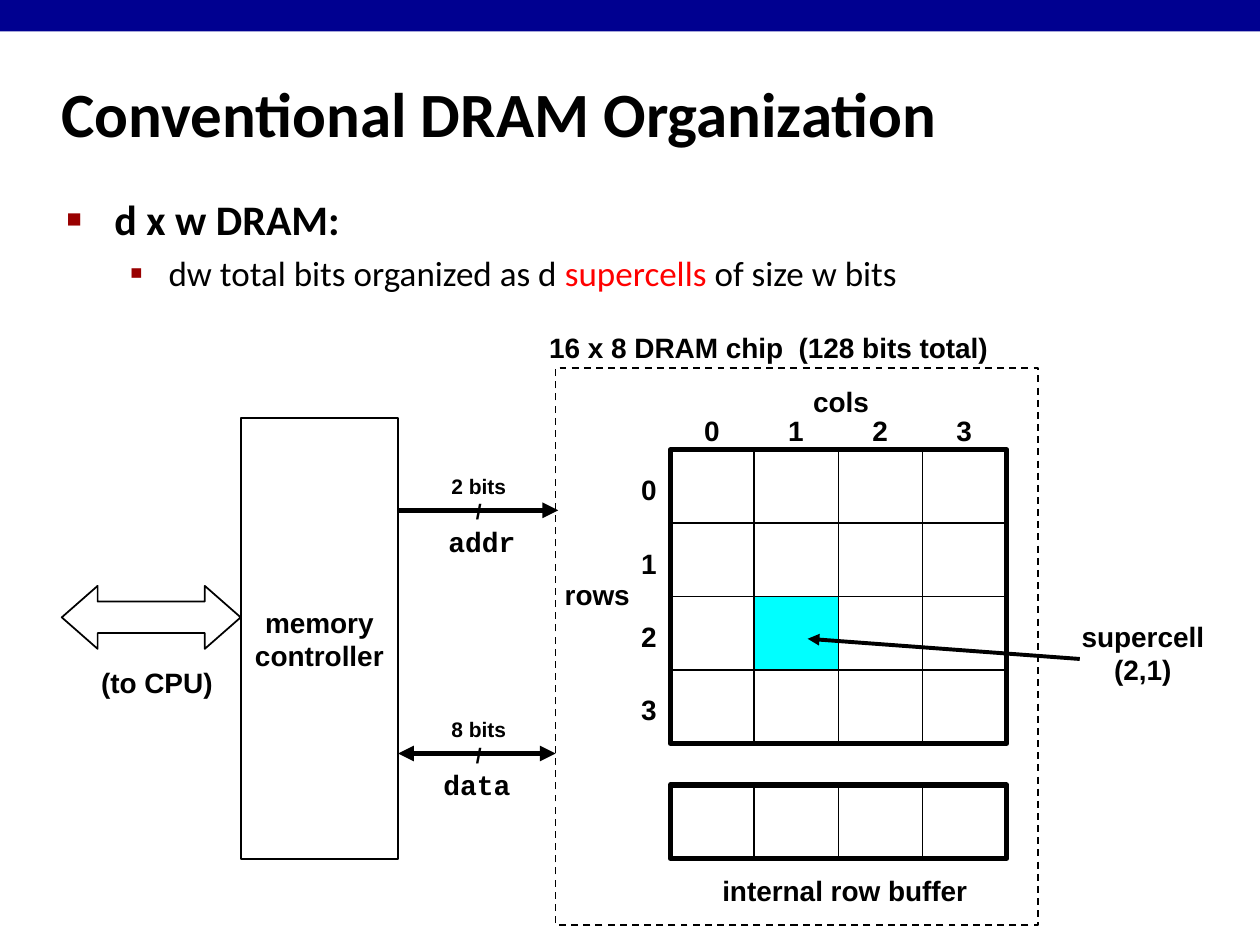
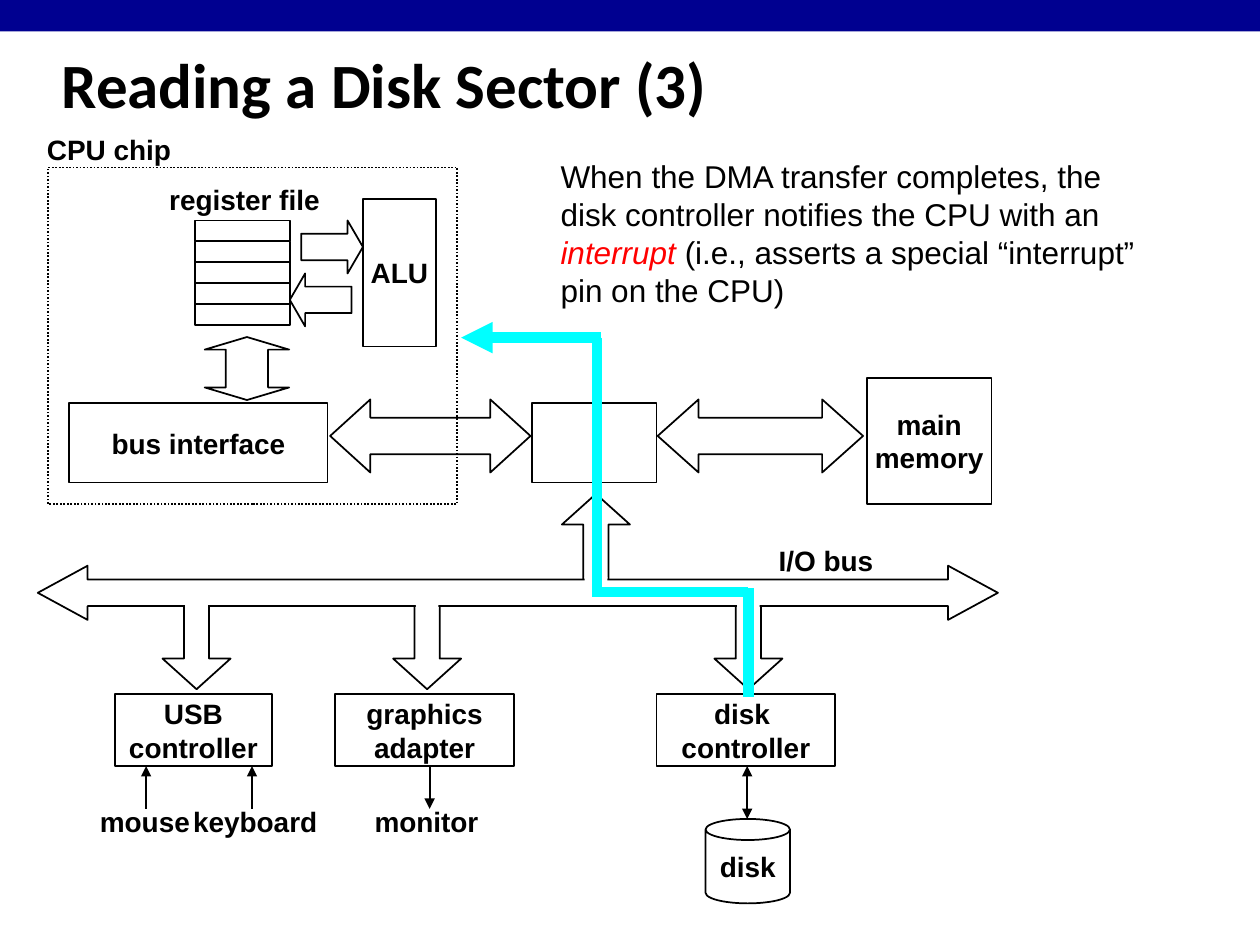
from dataclasses import dataclass

import pptx
import pptx.dml.color
import pptx.enum.dml
import pptx.enum.shapes
import pptx.enum.text
import pptx.oxml.ns
import pptx.util
from lxml import etree

Inches = pptx.util.Inches
Pt = pptx.util.Pt
RGBColor = pptx.dml.color.RGBColor
Kind = pptx.enum.shapes.MSO_SHAPE
Align = pptx.enum.text.PP_ALIGN
Anchor = pptx.enum.text.MSO_ANCHOR
Dash = pptx.enum.dml.MSO_LINE
qn = pptx.oxml.ns.qn

BLACK = RGBColor(0, 0, 0)
WHITE = RGBColor(255, 255, 255)
NAVY = RGBColor(0x00, 0x00, 0x90)
MAROON = RGBColor(0x99, 0x00, 0x00)
RED = RGBColor(255, 0, 0)
CYAN = RGBColor(0, 255, 255)

TITLE_FONT = "Calibri"
LABEL_FONT = "Arial"
CODE_FONT = "Courier New"
LABEL_HEIGHT = 0.37


def style_span(span, size, font=LABEL_FONT, color=BLACK, bold=False, italic=False):
    span.font.name = font
    span.font.size = Pt(size)
    span.font.bold = bold
    span.font.italic = italic
    span.font.color.rgb = color


def fill_text(frame, text, size=16, font=LABEL_FONT, align=Align.CENTER):
    """Put bold, unwrapped, vertically centred lines into a text frame."""
    frame.word_wrap = False
    frame.vertical_anchor = Anchor.MIDDLE
    frame.text = text
    for para in frame.paragraphs:
        para.alignment = align
        for span in para.runs:
            style_span(span, size, font, bold=True)


def add_spans(para, spans, size, font):
    """Append (text, color, bold, italic) runs to a paragraph."""
    for text, color, bold, italic in spans:
        span = para.add_run()
        span.text = text
        style_span(span, size, font, color, bold, italic)


@dataclass
class Area:
    """A region of a page; its parts are placed from its top left corner."""
    page: object
    left: float
    top: float

    def place(self, x, y):
        return Inches(self.left + x), Inches(self.top + y)

    def shape(self, kind, x, y, width, height, text="", fill=None,
              line=BLACK, weight=1, dash=None, adjust=()):
        shape = self.page.shapes.add_shape(
            kind, *self.place(x, y), Inches(width), Inches(height))
        shape.shadow.inherit = False
        for index, value in enumerate(adjust):
            shape.adjustments[index] = value
        if fill is None:
            shape.fill.background()
        else:
            shape.fill.solid()
            shape.fill.fore_color.rgb = fill
        if line is None:
            shape.line.fill.background()
        else:
            shape.line.color.rgb = line
            shape.line.width = Pt(weight)
        if dash is not None:
            shape.line.dash_style = dash
        if text:
            fill_text(shape.text_frame, text)
        return shape

    def text_box(self, x, y, width, height):
        box = self.page.shapes.add_textbox(
            *self.place(x, y), Inches(width), Inches(height))
        box.text_frame.word_wrap = True
        return box.text_frame

    def label(self, text, x, y, width, height=LABEL_HEIGHT, **style):
        fill_text(self.text_box(x, y, width, height), text, **style)

    def line(self, start, end, color=BLACK, weight=1, head=False, tail=False):
        """Draw a line; head and tail put an arrowhead at its start and end."""
        line = self.page.shapes.add_connector(
            pptx.enum.shapes.MSO_CONNECTOR.STRAIGHT,
            *self.place(*start), *self.place(*end))
        line.line.color.rgb = color
        line.line.width = Pt(weight)
        properties = line.element.spPr
        outline = properties.find(qn("a:ln"))
        for tag, wanted in (("a:headEnd", head), ("a:tailEnd", tail)):
            if wanted:
                etree.SubElement(outline, qn(tag), type="triangle")
        etree.SubElement(properties, qn("a:effectLst"))

    def grid(self, x, y, width, height, rows, cols, marked=None):
        cell_width, cell_height = width / cols, height / rows
        for row in range(rows):
            for col in range(cols):
                self.shape(Kind.RECTANGLE, x + col * cell_width,
                           y + row * cell_height, cell_width, cell_height,
                           fill=CYAN if (row, col) == marked else WHITE)


def add_page(deck, title, title_top):
    page = deck.slides.add_slide(deck.slide_layouts[6])
    area = Area(page, 0, 0)
    area.shape(Kind.RECTANGLE, 0, 0, 10, 0.25, fill=NAVY, line=None)
    area.label(title, 0.39, title_top, 8.3, 0.83,
               size=36, font=TITLE_FONT, align=Align.LEFT)
    return page


def add_bullet(para, char, percent, margin, hanging):
    properties = para._p.get_or_add_pPr()
    properties.set("marL", str(Inches(margin)))
    properties.set("indent", str(-Inches(hanging)))
    color = etree.SubElement(properties, qn("a:buClr"))
    etree.SubElement(color, qn("a:srgbClr"), val=str(MAROON))
    etree.SubElement(properties, qn("a:buSzPct"), val=str(percent * 1000))
    etree.SubElement(properties, qn("a:buFont"), typeface=LABEL_FONT)
    etree.SubElement(properties, qn("a:buChar"), char=char)


def dram_summary(area):
    frame = area.text_box(0, 0, 8.64, 1.1)
    heading = frame.paragraphs[0]
    detail = frame.add_paragraph()
    heading.space_before, detail.space_before = Pt(4.8), Pt(4)
    add_bullet(heading, "■", 60, 0.38, 0.38)
    add_bullet(detail, "▪", 110, 0.81, 0.31)
    add_spans(heading, [("d x w DRAM:", BLACK, True, False)], 24, TITLE_FONT)
    add_spans(detail, [
        ("dw total bits organized as d ", BLACK, False, False),
        ("supercells", RED, False, False),
        (" of size w bits", BLACK, False, False),
    ], 20, TITLE_FONT)


def dram_chip(area):
    grid_left, grid_top, grid_width, grid_height = 0.91, 0.65, 2.67, 2.33
    buffer_top, count = 3.31, 4
    cell_width, cell_height = grid_width / count, grid_height / count

    area.label("cols", 1.94, 0.08, 0.65)
    area.label("rows", -0.03, 1.61, 0.72)
    area.grid(grid_left, grid_top, grid_width, grid_height, count, count, (2, 1))
    for index in range(count):
        area.label(str(index), grid_left + 0.17 + index * cell_width, 0.31, 0.32)
        area.label(str(index), 0.58, grid_top + 0.13 + index * cell_height, 0.32)
    area.grid(grid_left, buffer_top, grid_width, cell_height, 1, count)
    for top, height in ((grid_top, grid_height), (buffer_top, cell_height)):
        area.shape(Kind.RECTANGLE, grid_left, top, grid_width, height, weight=3)
    area.label("internal row buffer", 1.22, 3.96, 2.15)
    area.shape(Kind.RECTANGLE, 0, 0, 3.83, 4.42, dash=Dash.DASH)
    area.label("16 x 8 DRAM chip  (128 bits total)", -0.15, -0.35, 3.7,
               align=Align.LEFT)
    area.label("supercell\n(2,1)", 4.07, 1.94, 1.18, 0.64)
    area.line((4.16, 2.31), (2, 2.15), weight=2.25, tail=True)


def memory_controller(area):
    """Draw the controller with its CPU arrow and its two chip lines."""
    lines = (("2 bits", "addr", 0.73, 1.27, 1.55, False),
             ("8 bits", "data", 2.66, 1.25, 1.51, True))
    for bits, name, y, length, name_left, both_ways in lines:
        area.line((1.25, y), (1.25 + length, y), weight=3,
                  head=both_ways, tail=True)
        area.label(name, name_left, y + 0.06, 0.73, font=CODE_FONT)
        area.label(f"{bits}\n/", 1.57, y - 0.34, 0.64, 0.5, size=12)
    area.shape(Kind.RECTANGLE, 0, 0, 1.25, 3.5, "memory\ncontroller", WHITE)
    area.shape(Kind.LEFT_RIGHT_ARROW, -1.42, 1.33, 1.42, 0.5,
               fill=WHITE, adjust=(0.5, 0.57))
    area.label("(to CPU)", -1.21, 1.91, 1.09)


def cpu_chip(area):
    area.grid(1.17, 0.42, 0.75, 0.83, rows=5, cols=1)
    area.shape(Kind.RIGHT_ARROW, 2.01, 0.42, 0.49, 0.42, adjust=(0.5, 0.29))
    area.shape(Kind.LEFT_ARROW, 1.92, 0.84, 0.49, 0.42, adjust=(0.5, 0.29))
    area.shape(Kind.RECTANGLE, 2.5, 0.25, 0.58, 1.17, "ALU")
    area.label("register file", 0.86, 0.07, 1.4)
    register_link = area.shape(Kind.LEFT_RIGHT_ARROW, 1.33, 1.26, 0.5, 0.67,
                               adjust=(0.5, 0.2))
    register_link.rotation = 90
    area.shape(Kind.RECTANGLE, 0.17, 1.87, 2.05, 0.63, "bus interface")
    area.shape(Kind.RECTANGLE, 0, 0, 3.25, 2.67, dash=Dash.ROUND_DOT)
    area.label("CPU chip", -0.11, -0.33, 1.19)


def memory_bus(area):
    """Draw the bridge between the CPU and main memory."""
    area.shape(Kind.LEFT_RIGHT_ARROW, 0, 0.17, 1.59, 0.58, adjust=(0.5, 0.55))
    area.shape(Kind.RECTANGLE, 1.6, 0.2, 0.99, 0.63)
    area.shape(Kind.LEFT_RIGHT_ARROW, 2.6, 0.17, 1.63, 0.58, adjust=(0.5, 0.56))
    area.shape(Kind.RECTANGLE, 4.26, 0, 0.99, 1, "main\nmemory")


def io_bus(area):
    """Draw the bus, its branches and the device boxes below it."""
    devices = (("USB\ncontroller", 1.26, 0.61, 1.25),
               ("graphics\nadapter", 3.09, 2.36, 1.42),
               ("disk \ncontroller", 5.64, 4.91, 1.42))
    bridge_centre = 4.43
    branch = {"width": 0.54, "height": 0.75, "adjust": (0.37, 0.45)}

    area.shape(Kind.UP_ARROW, bridge_centre - 0.27, -0.57, **branch)
    for name, centre, left, width in devices:
        area.shape(Kind.DOWN_ARROW, centre - 0.27, 0.23, **branch)
        area.shape(Kind.RECTANGLE, left, 1.02, width, 0.57, name)
    area.shape(Kind.LEFT_RIGHT_ARROW, 0, 0, 7.62, 0.43,
               fill=WHITE, adjust=(0.49, 0.92))
    openings = [(centre, 0.17) for _, centre, _, _ in devices]
    for centre, top in openings + [(bridge_centre, 0.09)]:
        area.shape(Kind.RECTANGLE, centre - 0.09, top, 0.18, 0.17,
                   fill=WHITE, line=None)
    area.label("I/O bus", 5.78, -0.23, 0.95)


def peripherals(area):
    """Draw what hangs below the device boxes, with its arrows."""
    for name, x, left, width, is_input in (("mouse", 0.47, 0, 0.92, True),
                                           ("keyboard", 1.31, 0.74, 1.19, True),
                                           ("monitor", 2.72, 2.18, 1.03, False)):
        area.line((x, 0), (x, 0.34), head=is_input, tail=not is_input)
        area.label(name, left, 0.25, width)
    area.line((5.24, 0), (5.24, 0.42), head=True, tail=True)
    area.shape(Kind.CAN, 4.91, 0.42, 0.67, 0.67, "disk", adjust=(0.25,))


def interrupt_route(area):
    """Draw the thick route from the disk controller to the CPU chip."""
    style = {"color": CYAN, "weight": 6}
    area.line((1.11, 0), (0, 0), tail=True, **style)
    area.line((1.08, 0), (1.08, 2), **style)
    area.line((1.04, 2.02), (2.28, 2.02), **style)
    area.line((2.28, 1.99), (2.28, 2.85), **style)


def interrupt_note(area):
    frame = area.text_box(0, 0, 4.81, 1.3)
    add_spans(frame.paragraphs[0], [
        ("When the DMA transfer completes, the disk controller notifies "
         "the CPU with an ", BLACK, False, False),
        ("interrupt", RED, False, True),
        (" (i.e., asserts a special “interrupt” pin on the CPU)",
         BLACK, False, False),
    ], 18, LABEL_FONT)


def dram_page(deck):
    page = add_page(deck, "Conventional DRAM Organization", 0.48)
    dram_summary(Area(page, 0.43, 1.49))
    dram_chip(Area(page, 4.41, 2.92))
    memory_controller(Area(page, 1.91, 3.32))


def disk_page(deck):
    page = add_page(deck, "Reading a Disk Sector (3)", 0.25)
    cpu_chip(Area(page, 0.38, 1.33))
    memory_bus(Area(page, 2.62, 3))
    io_bus(Area(page, 0.3, 4.49))
    peripherals(Area(page, 0.69, 6.08))
    interrupt_route(Area(page, 3.66, 2.68))
    interrupt_note(Area(page, 4.35, 1.2))


def main():
    deck = pptx.Presentation()
    deck.slide_width = Inches(10)
    deck.slide_height = Inches(7.5)
    dram_page(deck)
    disk_page(deck)
    deck.save("out.pptx")


if __name__ == "__main__":
    main()
